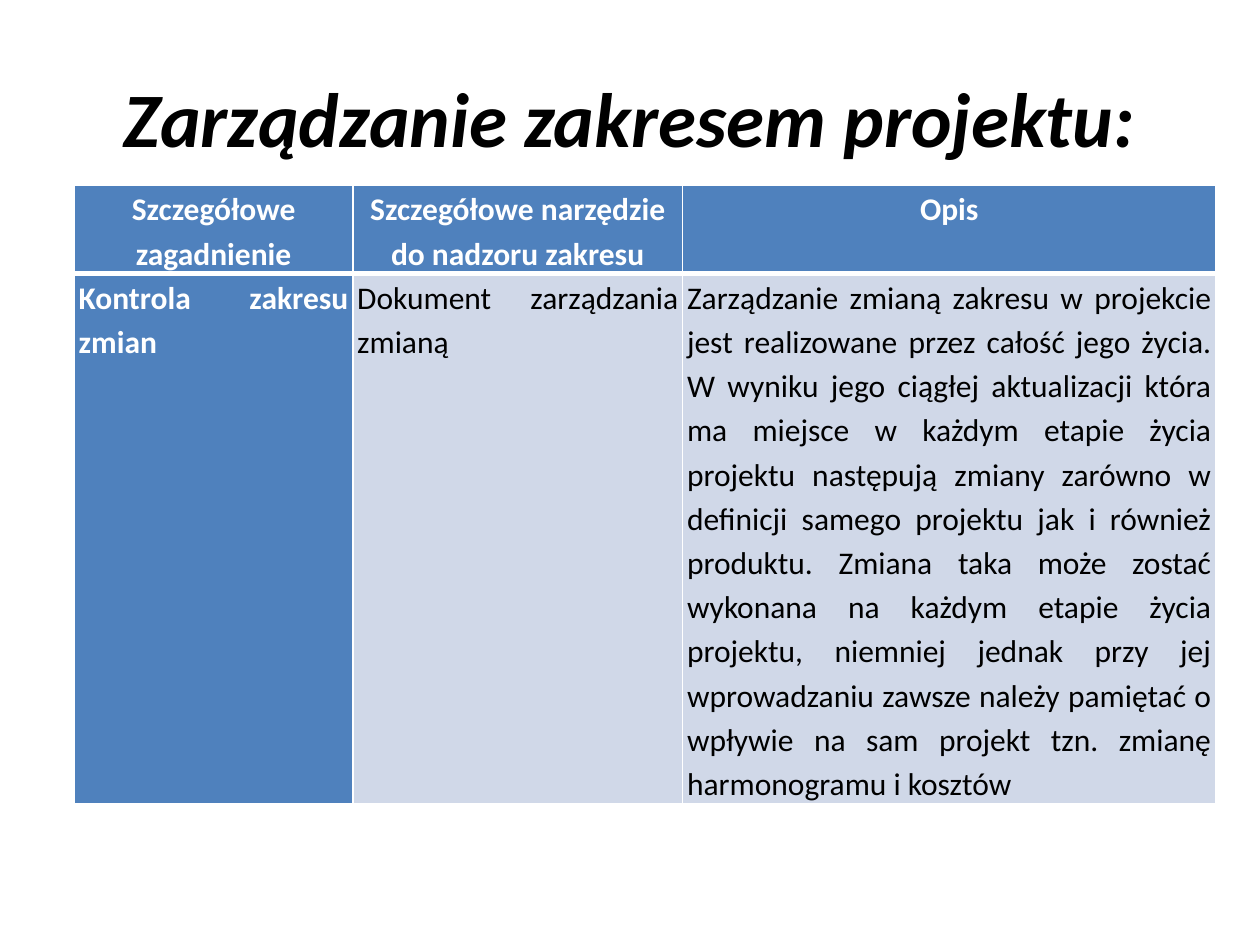
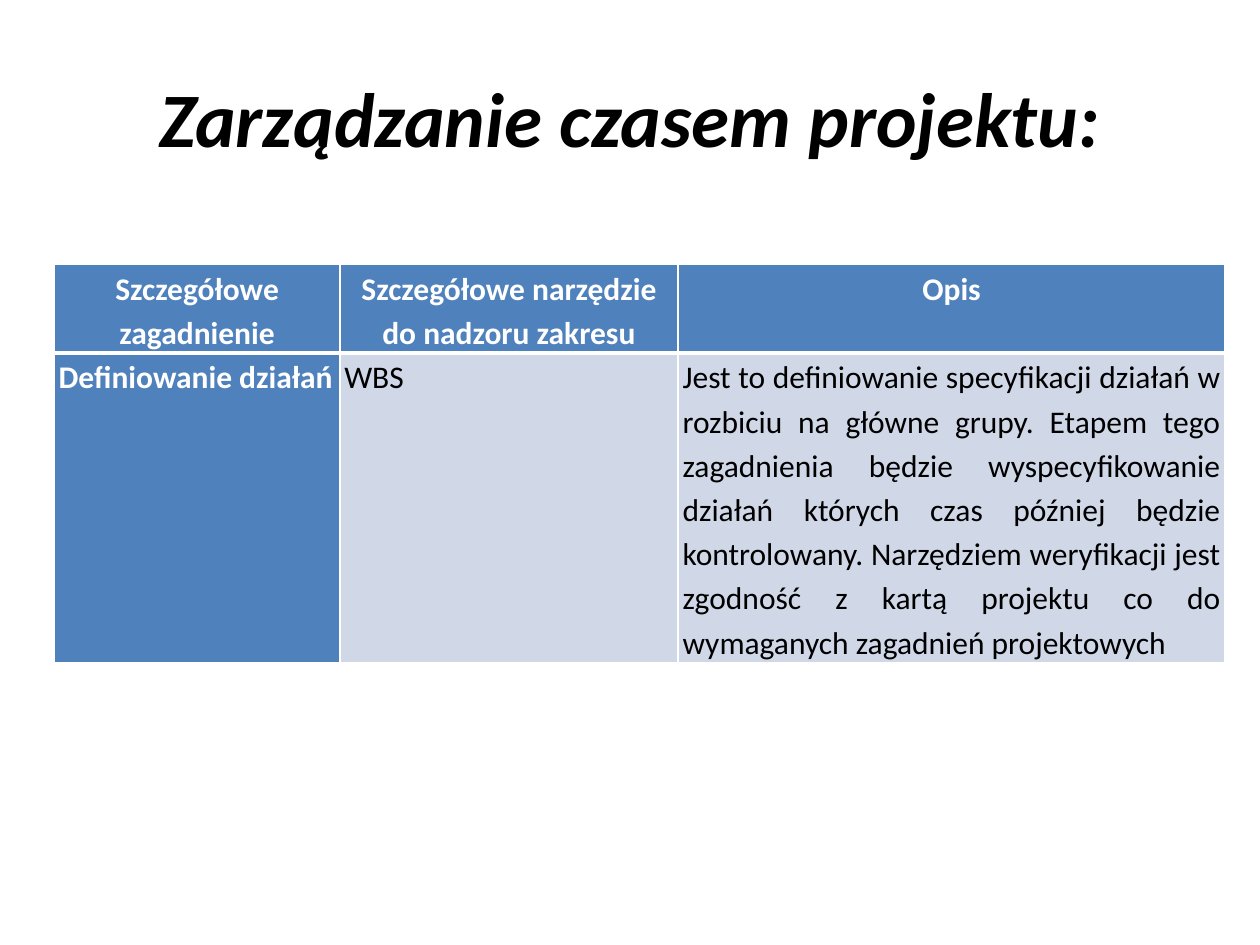
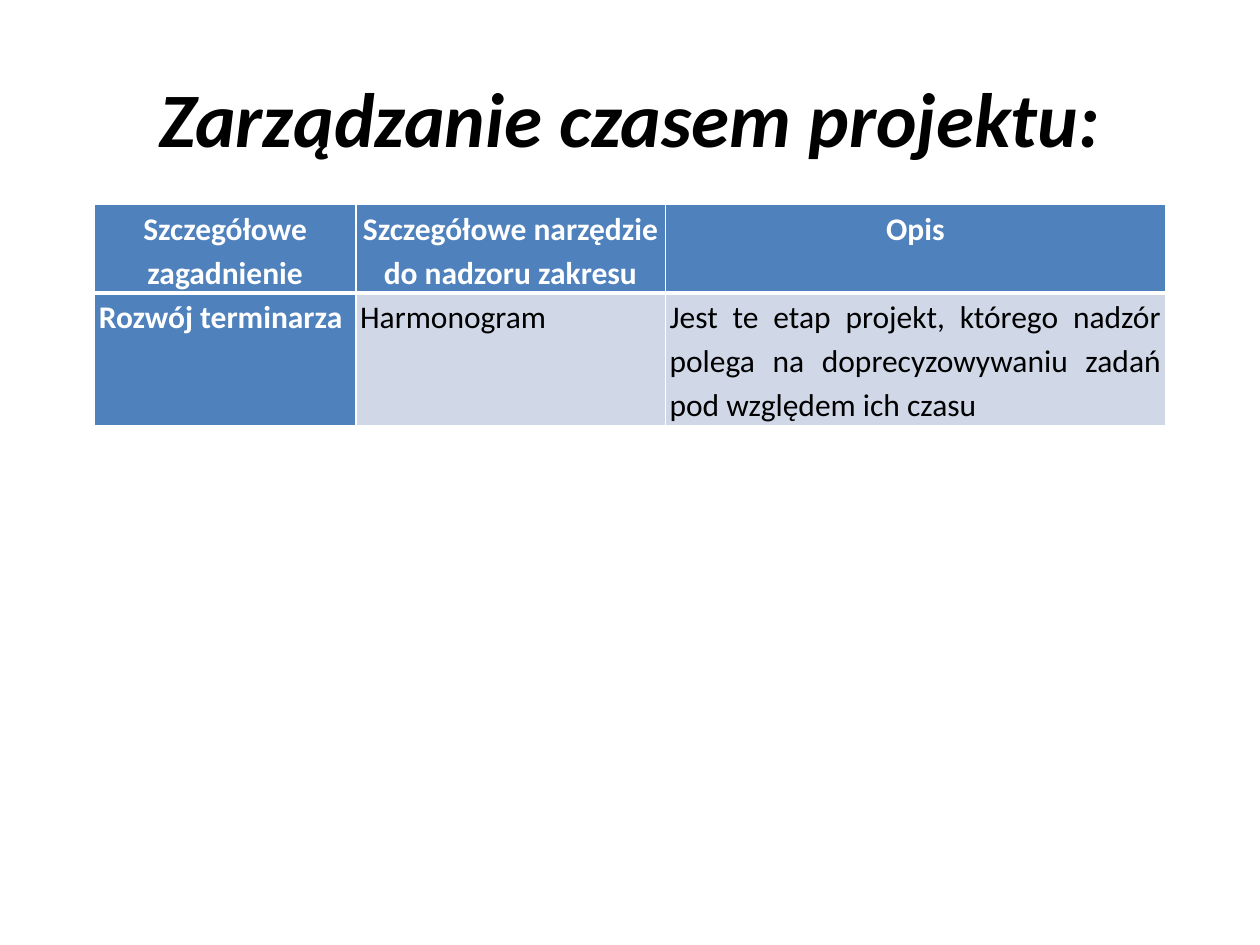
"""Build three slides on project scope and time management, each with one table."""
from lxml.etree import SubElement
from pptx import Presentation
from pptx.dml.color import RGBColor
from pptx.enum.text import MSO_ANCHOR as ANCHOR, PP_ALIGN as ALIGN
from pptx.oxml.ns import qn
from pptx.util import Pt

WHITE, BLACK, BLUE, PALE = "FFFFFF", "000000", "4F81BD", "D0D8E8"
LINE_HEIGHT = 25.25
COLUMN_SHARES = (0.244, 0.289, 0.467)
HEADER = ("Szczegółowe zagadnienie", "Szczegółowe narzędzie do nadzoru zakresu", "Opis")
MARGINS = {"margin_left": Pt(2.5), "margin_right": Pt(2.5), "margin_top": 0, "margin_bottom": 0}
TITLE_FONT = {"name": "Calibri", "size": Pt(44), "bold": True, "italic": True}
SCOPE, TIME = "Zarządzanie zakresem projektu:", "Zarządzanie czasem projektu:"

SLIDES = [
    (SCOPE, (42.5, 105.8, 652.3), 12, (
        "Kontrola zakresu zmian",
        "Dokument zarządzania zmianą",
        "Zarządzanie zmianą zakresu w projekcie jest realizowane przez całość jego życia. "
        "W wyniku jego ciągłej aktualizacji która ma miejsce w każdym etapie życia projektu "
        "następują zmiany zarówno w definicji samego projektu jak i również produktu. "
        "Zmiana taka może zostać wykonana na każdym etapie życia projektu, niemniej jednak "
        "przy jej wprowadzaniu zawsze należy pamiętać o wpływie na sam projekt tzn. "
        "zmianę harmonogramu i kosztów")),
    (TIME, (31, 151.2, 669), 7, (
        "Definiowanie działań",
        "WBS",
        "Jest to definiowanie specyfikacji działań w rozbiciu na główne grupy. Etapem tego "
        "zagadnienia będzie wyspecyfikowanie działań których czas później będzie "
        "kontrolowany. Narzędziem weryfikacji jest zgodność z kartą projektu co do "
        "wymaganych zagadnień projektowych")),
    (TIME, (54, 116.8, 612), 3, (
        "Rozwój terminarza",
        "Harmonogram",
        "Jest te etap projekt, którego nadzór polega na doprecyzowywaniu zadań "
        "pod względem ich czasu")),
]


def rgb(value):
    return RGBColor.from_string(value)


def write(p, text, color, values):
    r = p.add_run()
    r.text = text
    r.font.color.rgb = rgb(color)
    for name, value in values.items():
        setattr(r.font, name, value)


prs = Presentation()
prs.slide_width, prs.slide_height = Pt(720), Pt(540)

for title, (left, top, width), body_lines, body in SLIDES:
    s = prs.slides.add_slide(prs.slide_layouts[5])
    sp = s.shapes.title
    for name, value in {"left": 36, "top": 21.6, "width": 648, "height": 90}.items():
        setattr(sp, name, Pt(value))
    tf = sp.text_frame
    tf.vertical_anchor = ANCHOR.MIDDLE
    p = tf.paragraphs[0]
    p.alignment = ALIGN.CENTER
    write(p, title, BLACK, TITLE_FONT)

    heights = [lines * LINE_HEIGHT for lines in (2, body_lines)]
    table = s.shapes.add_table(2, 3, Pt(left), Pt(top), Pt(width), Pt(sum(heights))).table
    for column, share in zip(table.columns, COLUMN_SHARES):
        column.width = Pt(width * share)
    for i, texts in enumerate((HEADER, body)):
        table.rows[i].height = Pt(heights[i])
        for j, text in enumerate(texts):
            cell = table.cell(i, j)
            strong = i == 0 or j == 0
            for name, value in MARGINS.items():
                setattr(cell, name, value)
            tc_pr = cell._tc.get_or_add_tcPr()
            borders = {"L": 1, "R": 1, "T": 3 if i else 1, "B": 1 if i else 3}
            for side, weight in borders.items():
                ln = SubElement(tc_pr, qn(f"a:ln{side}"), w=str(Pt(weight)))
                SubElement(SubElement(ln, qn("a:solidFill")), qn("a:srgbClr"), val=WHITE)
            cell.fill.solid()
            cell.fill.fore_color.rgb = rgb(BLUE if strong else PALE)
            p = cell.text_frame.paragraphs[0]
            p.alignment = ALIGN.JUSTIFY if i else ALIGN.CENTER
            p.line_spacing = 1.15
            write(p, text, WHITE if strong else BLACK,
                  {"name": "Calibri", "size": Pt(18), "bold": strong})

prs.save("out.pptx")
